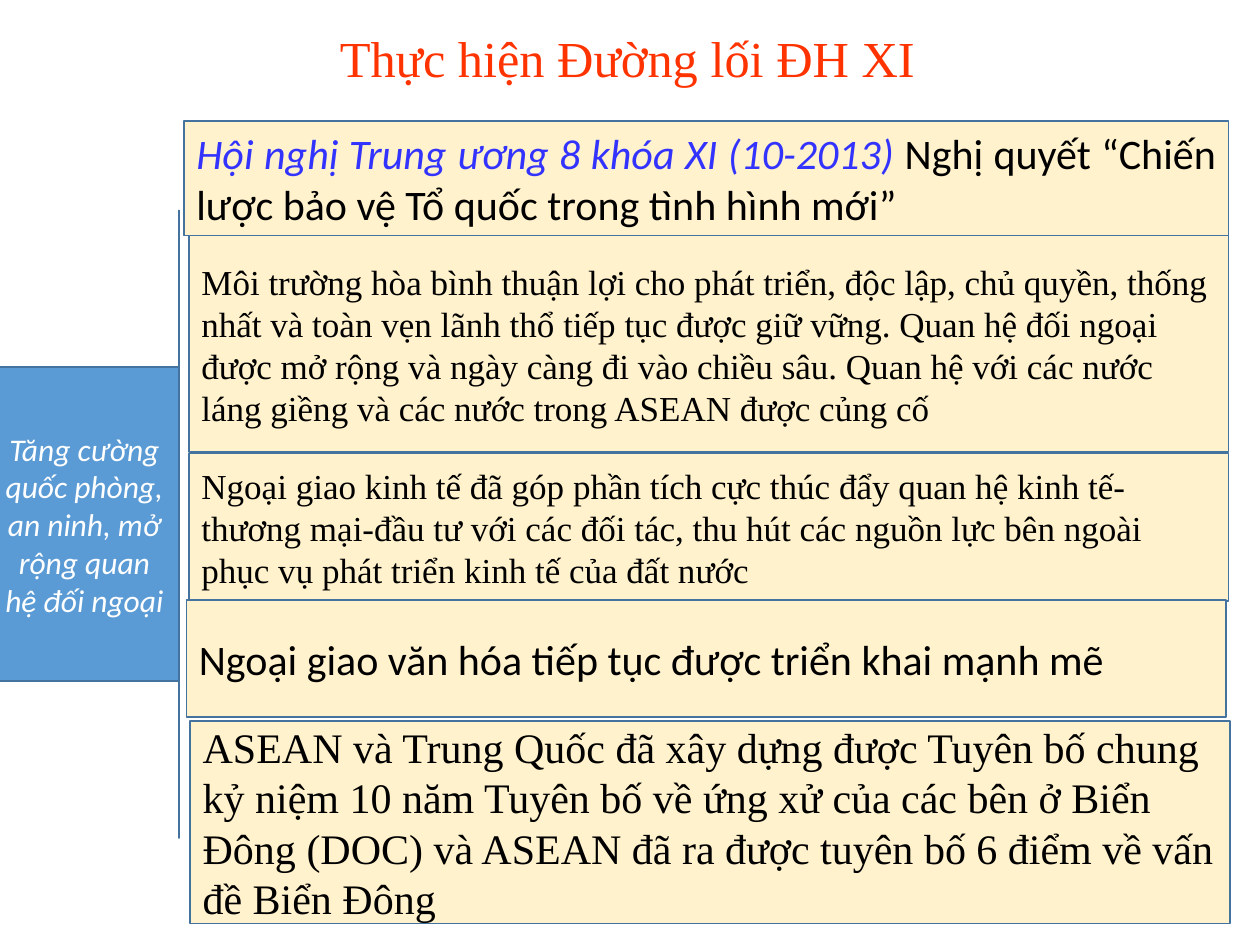
"""Build the slide on defence and foreign relations under the XI Congress."""
from pptx import Presentation
from pptx.dml.color import RGBColor
from pptx.enum.shapes import MSO_SHAPE
from pptx.enum.text import MSO_ANCHOR, PP_ALIGN
from pptx.util import Inches, Pt

RECT, ARROW = MSO_SHAPE.RECTANGLE, MSO_SHAPE.RIGHT_ARROW
LEFT, MID, FULL = PP_ALIGN.LEFT, PP_ALIGN.CENTER, PP_ALIGN.JUSTIFY
CENTER = MSO_ANCHOR.MIDDLE
THEME = {
    "sans": "Calibri", "serif": "Times New Roman",
    "red": "FF3300", "blue": "3333FF", "black": "000000", "white": "FFFFFF",
    "sky": "5B9BD5", "cream": "FFF2CC", "edge": "43739E",
    "title": 28.8, "large": 24, "body": 20, "side": 18,
}

deck = Presentation()
deck.slide_width, deck.slide_height = Inches(10), Inches(7.5)
COL, ROW = deck.slide_width / 100, deck.slide_height / 75
slide = deck.slides.add_slide(deck.slide_layouts[6])


def place(col, row, cols, rows):
    return [round(n) for n in (col * COL, row * ROW, cols * COL, rows * ROW)]


def write(shape, align, font, size, runs):
    frame = shape.text_frame
    frame.word_wrap = True
    frame.vertical_anchor = CENTER
    para = frame.paragraphs[0]
    para.alignment = align
    for text, color, slant in runs:
        run = para.add_run()
        run.text = text
        run.font.name = THEME[font]
        run.font.size = Pt(THEME[size])
        run.font.italic = slant
        run.font.color.rgb = RGBColor.from_string(THEME[color])


title = slide.shapes.add_textbox(*place(6.7, 2.7, 86.2, 4.3))
write(title, MID, "serif", "title", [("Thực hiện Đường lối ĐH XI", "red", False)])
title.text_frame.paragraphs[0].line_spacing = 0.9

PANELS = [
    (ARROW, (-0.8, 16.7, 15, 49.8), "sky", MID, "sans", "side", [
        ("Tăng cường quốc phòng, an ninh, mở rộng quan hệ đối ngoại", "white", True)]),
    (RECT, (14.6, 9.6, 82.9, 9.1), "cream", FULL, "sans", "large", [
        ("Hội nghị Trung ương 8 khóa XI (10-2013) ", "blue", True),
        ("Nghị quyết “Chiến lược bảo vệ Tổ quốc trong tình hình mới” ", "black", False)]),
    (RECT, (15, 18.7, 82.5, 17.2), "cream", LEFT, "serif", "body", [
        ("Môi trường hòa bình thuận lợi cho phát triển, độc lập, chủ quyền, "
         "thống nhất và toàn vẹn lãnh thổ tiếp tục được giữ vững. Quan hệ đối "
         "ngoại được mở rộng và ngày càng đi vào chiều sâu. Quan hệ với các nước "
         "láng giềng và các nước trong ASEAN được củng cố", "black", False)]),
    (RECT, (15, 36, 82.5, 11.7), "cream", LEFT, "serif", "body", [
        ("Ngoại giao kinh tế đã góp phần tích cực thúc đẩy quan hệ kinh "
         "tế-thương mại-đầu tư với các đối tác, thu hút các nguồn lực bên ngoài "
         "phục vụ phát triển kinh tế của đất nước", "black", False)]),
    (RECT, (14.8, 47.6, 82.5, 9.3), "cream", LEFT, "sans", "large", [
        ("Ngoại giao văn hóa tiếp tục được triển khai mạnh mẽ", "black", False)]),
    (RECT, (15.1, 57.2, 82.5, 16.1), "cream", LEFT, "serif", "large", [
        ("ASEAN và Trung Quốc đã xây dựng được Tuyên bố chung kỷ niệm 10 năm "
         "Tuyên bố về ứng xử của các bên ở Biển Đông (DOC) và ASEAN đã ra được "
         "tuyên bố 6 điểm về vấn đề Biển Đông", "black", False)]),
]

for kind, cell, fill, align, font, size, runs in PANELS:
    panel = slide.shapes.add_shape(kind, *place(*cell))
    panel.shadow.inherit = False
    panel.fill.solid()
    panel.fill.fore_color.rgb = RGBColor.from_string(THEME[fill])
    panel.line.color.rgb = RGBColor.from_string(THEME["edge"])
    panel.line.width = Pt(1)
    if kind == ARROW:
        panel.adjustments[0], panel.adjustments[1] = 0.5, 0
    write(panel, align, font, size, runs)

deck.save("out.pptx")
